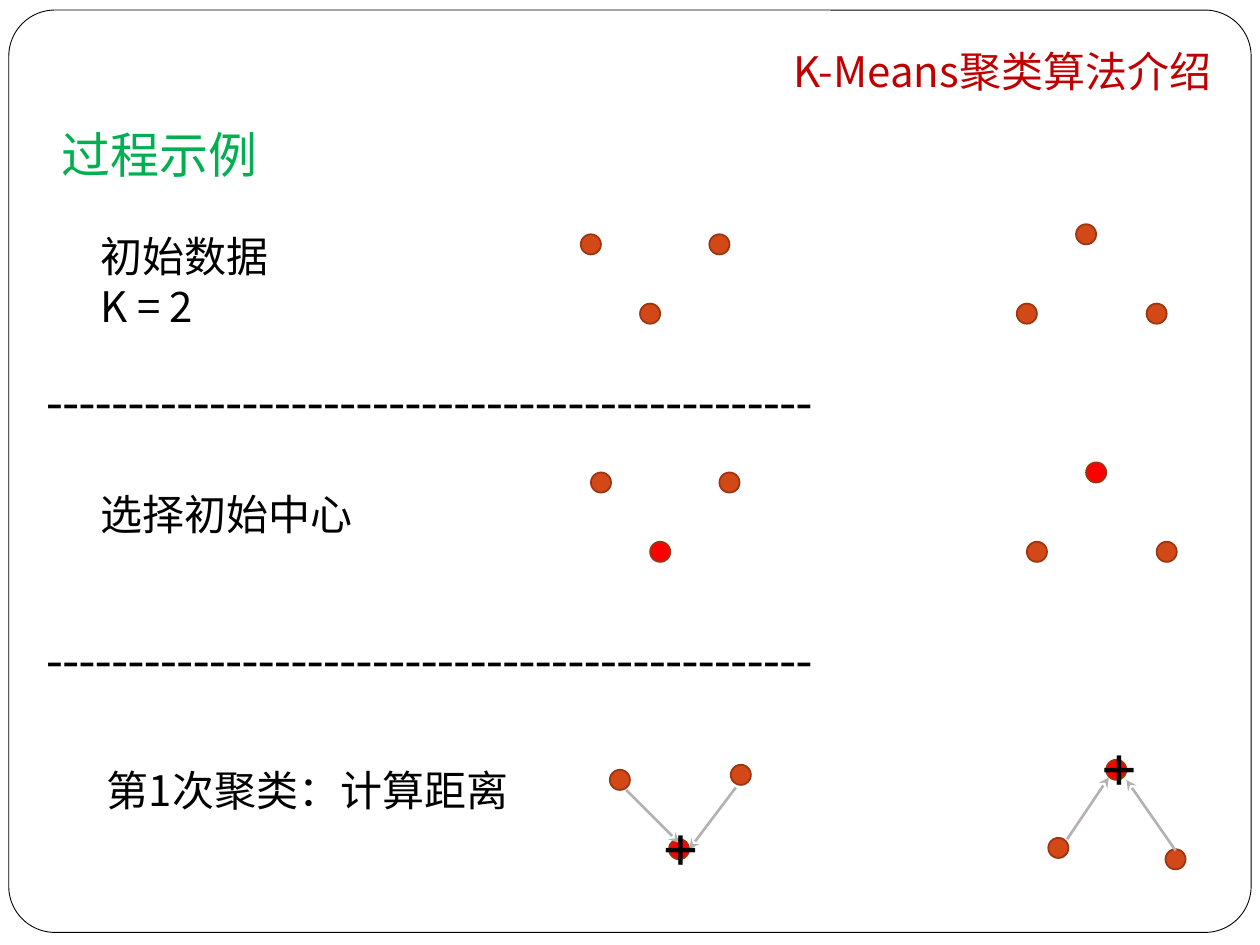
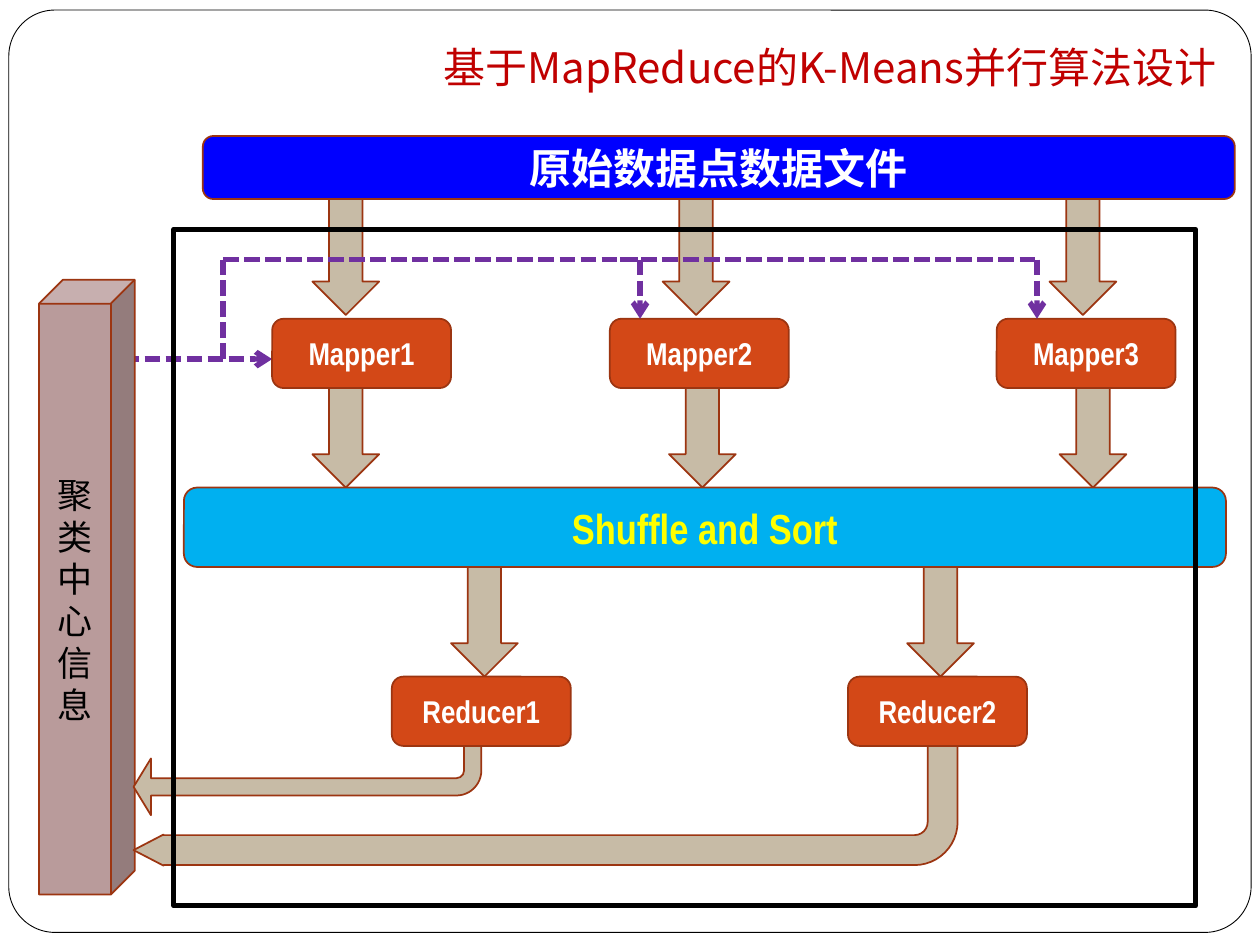
from dataclasses import dataclass

from lxml import etree
from pptx import Presentation
from pptx import util as u
from pptx.dml import color as dml
from pptx.enum import dml as dash
from pptx.enum import shapes, text
from pptx.oxml.ns import qn

KIND = shapes.MSO_SHAPE
ALIGN = text.PP_ALIGN


@dataclass(frozen=True)
class Theme:
    white: str = "FFFFFF"
    black: str = "000000"
    title: str = "C00000"
    glow: str = "FF0000"
    head: str = "00B050"
    node: str = "D34817"
    edge: str = "9C3511"
    center: str = "FF0000"
    link: str = "B5B1B1"
    arrow: str = "C7BBA6"
    flow: str = "7030A0"
    source: str = "0000FF"
    sort: str = "00B0F0"
    accent: str = "FFFF00"
    store: str = "B99B9B"
    han: str = "Noto Sans CJK SC"
    narrow: str = "Arial Narrow"
    serif: str = "Times New Roman"
    plus: int = 36
    large: int = 28
    body: int = 24
    side: int = 20
    label: int = 18


T = Theme()


def rgb(code):
    return dml.RGBColor.from_string(code)


def box(*sizes):
    return [u.Inches(size) for size in sizes]


def style(item, words, size, font, color, bold=False, align=ALIGN.LEFT):
    frame = item.text_frame
    frame.word_wrap = True
    frame.text = words
    for para in frame.paragraphs:
        para.alignment = align
        for run in para.runs:
            run.font.size = u.Pt(size)
            run.font.name = font
            run.font.bold = bold
            run.font.color.rgb = rgb(color)
    for props in item.element.iter(qn("a:rPr")):
        etree.SubElement(props, qn("a:ea"), typeface=font)


def label(slide, at, words, size=T.body, font=T.han, color=T.black, **more):
    item = slide.shapes.add_textbox(*box(*at))
    style(item, words, size, font, color, **more)
    return item


def hang(item):
    for para in item.text_frame.paragraphs:
        para.space_before = u.Pt(5.8)
    for props in item.element.iter(qn("a:pPr")):
        props.set("marL", str(u.Inches(0.3)))
        props.set("indent", str(u.Inches(-0.3)))


def shape(slide, kind, at, fill=None, line=T.edge, width=1, adj=()):
    item = slide.shapes.add_shape(kind, *box(*at))
    item.shadow.inherit = False
    if fill:
        item.fill.solid()
        item.fill.fore_color.rgb = rgb(fill)
    else:
        item.fill.background()
    item.line.color.rgb = rgb(line)
    item.line.width = u.Pt(width)
    for spot, value in enumerate(adj):
        item.adjustments[spot] = value
    return item


def block(slide, at, fill, words, size=T.body, font=T.narrow,
          color=T.white, bold=True, kind=KIND.ROUNDED_RECTANGLE):
    item = shape(slide, kind, at, fill)
    item.text_frame.vertical_anchor = text.MSO_ANCHOR.MIDDLE
    style(item, words, size, font, color, bold, ALIGN.CENTER)


def link(slide, start, end, color, width, tip=None, dashed=False):
    item = slide.shapes.add_connector(
        shapes.MSO_CONNECTOR.STRAIGHT, *box(*start, *end))
    item.line.color.rgb = rgb(color)
    item.line.width = u.Pt(width)
    if dashed:
        item.line.dash_style = dash.MSO_LINE.SQUARE_DOT
    props = item.element.spPr
    if tip:
        etree.SubElement(props.find(qn("a:ln")), qn("a:tailEnd"), type=tip)
    etree.SubElement(props, qn("a:effectLst"))


def page(deck):
    slide = deck.slides.add_slide(deck.slide_layouts[6])
    shape(slide, KIND.ROUNDED_RECTANGLE, (0.07, 0.08, 9.86, 7.32),
          T.white, T.black, 0.5, [0.05])
    return slide


def title(slide, at, words):
    item = label(slide, at, words, color=T.title, align=ALIGN.RIGHT)
    frame = item.text_frame
    frame.vertical_anchor = text.MSO_ANCHOR.BOTTOM
    frame.margin_bottom = u.Inches(0.1)
    frame.paragraphs[0].line_spacing = 1.2
    frame.paragraphs[0].space_after = u.Pt(6)
    hang(item)
    for props in item.element.iter(qn("a:rPr")):
        line = etree.Element(qn("a:ln"), w=str(u.Pt(0.75)))
        fill = etree.SubElement(line, qn("a:solidFill"))
        etree.SubElement(fill, qn("a:srgbClr"), val=T.glow)
        props.insert(0, line)


def dots(slide, spots, centers=()):
    for left, top in spots:
        fill = T.center if (left, top) in centers else T.node
        shape(slide, KIND.OVAL, (left, top, 0.16, 0.16), fill)


def steps(deck):
    slide = page(deck)
    data = [(4.61, 1.86), (5.63, 1.86), (5.08, 2.41),
            (8.07, 2.41), (9.1, 2.41), (8.54, 1.78)]
    moved = [(left + 0.08, top + 1.89) for left, top in data]
    last = [(4.84, 6.11), (5.8, 6.07), (5.31, 6.66),
            (8.32, 6.65), (9.25, 6.74), (8.78, 6.03)]
    dots(slide, data)
    dots(slide, moved, (moved[2], moved[5]))
    dots(slide, last, (last[2], last[5]))

    label(slide, (0.7, 1.78, 1.97, 0.91), "初始数据\nK = 2")
    label(slide, (0.7, 3.83, 2.84, 0.51), "选择初始中心")
    label(slide, (0.75, 6.02, 3.86, 0.51), "第1次聚类：计算距离")
    for top in (2.88, 4.93):
        label(slide, (0.27, top, 9.53, 0.57), "-" * 47, T.large, T.serif)

    for start, end in (((4.97, 6.27), (5.39, 6.69)),
                       ((5.84, 6.25), (5.47, 6.74)),
                       ((8.47, 6.66), (8.8, 6.17)),
                       ((9.33, 6.75), (8.94, 6.19))):
        link(slide, start, end, T.link, 1.5, "stealth")
    for left, top in ((5.16, 6.37), (8.64, 5.73)):
        label(slide, (left, top, 0.45, 0.71), "+", T.plus, T.serif, bold=True)

    title(slide, (0.47, 0.39, 9.24, 0.47), "K-Means聚类算法介绍")
    hang(label(slide, (0.39, 0.94, 7.19, 0.57), "过程示例",
               T.large, T.narrow, T.head))


def design(deck):
    slide = page(deck)
    for top, high, lefts in ((3, 0.87, (2.48, 5.31, 8.41)),
                             (4.5, 0.87, (3.58, 7.2)),
                             (1.43, 1.07, (2.48, 5.26, 8.33))):
        for left in lefts:
            shape(slide, KIND.DOWN_ARROW, (left, top, 0.53, high), T.arrow)
    link(slide, (0.98, 2.85), (2.16, 2.85), T.flow, 3, "arrow", True)

    block(slide, (1.61, 1.08, 8.19, 0.5), T.source, "原始数据点数据文件",
          font=T.han)
    for name, top, lefts in (("Mapper", 2.53, (2.16, 4.84, 7.91)),
                             ("Reducer", 5.37, (3.11, 6.73))):
        for count, left in enumerate(lefts, 1):
            block(slide, (left, top, 1.42, 0.55), T.node,
                  f"{name}{count}", T.label)
    block(slide, (0.31, 2.22, 0.76, 4.88), T.store, "聚类中心信息",
          T.side, T.han, T.black, False, KIND.CUBE)

    for start, end, tip in (((1.77, 2.85), (1.77, 2.06), None),
                            ((1.77, 2.06), (5.08, 2.06), None),
                            ((5.08, 2.06), (5.08, 2.53), "arrow"),
                            ((4.92, 2.06), (8.23, 2.06), None),
                            ((8.23, 2.06), (8.23, 2.53), "arrow")):
        link(slide, start, end, T.flow, 3, tip, True)
    block(slide, (1.46, 3.87, 8.27, 0.63), T.sort, "Shuffle and Sort",
          color=T.accent)

    for wide, high, head in ((2.76, 0.55, 0.41), (6.54, 0.95, 0.13)):
        bend = shape(slide, KIND.BENT_ARROW, (1.06, 5.92, wide, high),
                     T.arrow, adj=(0.25, head, 0.25, 0.36))
        bend.rotation = 180
    shape(slide, KIND.RECTANGLE, (1.38, 1.82, 8.11, 5.37),
          line=T.black, width=3)
    title(slide, (1.27, 0.17, 8.48, 0.66), "基于MapReduce的K-Means并行算法设计")


def main():
    deck = Presentation()
    deck.slide_width, deck.slide_height = box(10, 7.5)
    steps(deck)
    design(deck)
    deck.save("out.pptx")


if __name__ == "__main__":
    main()
